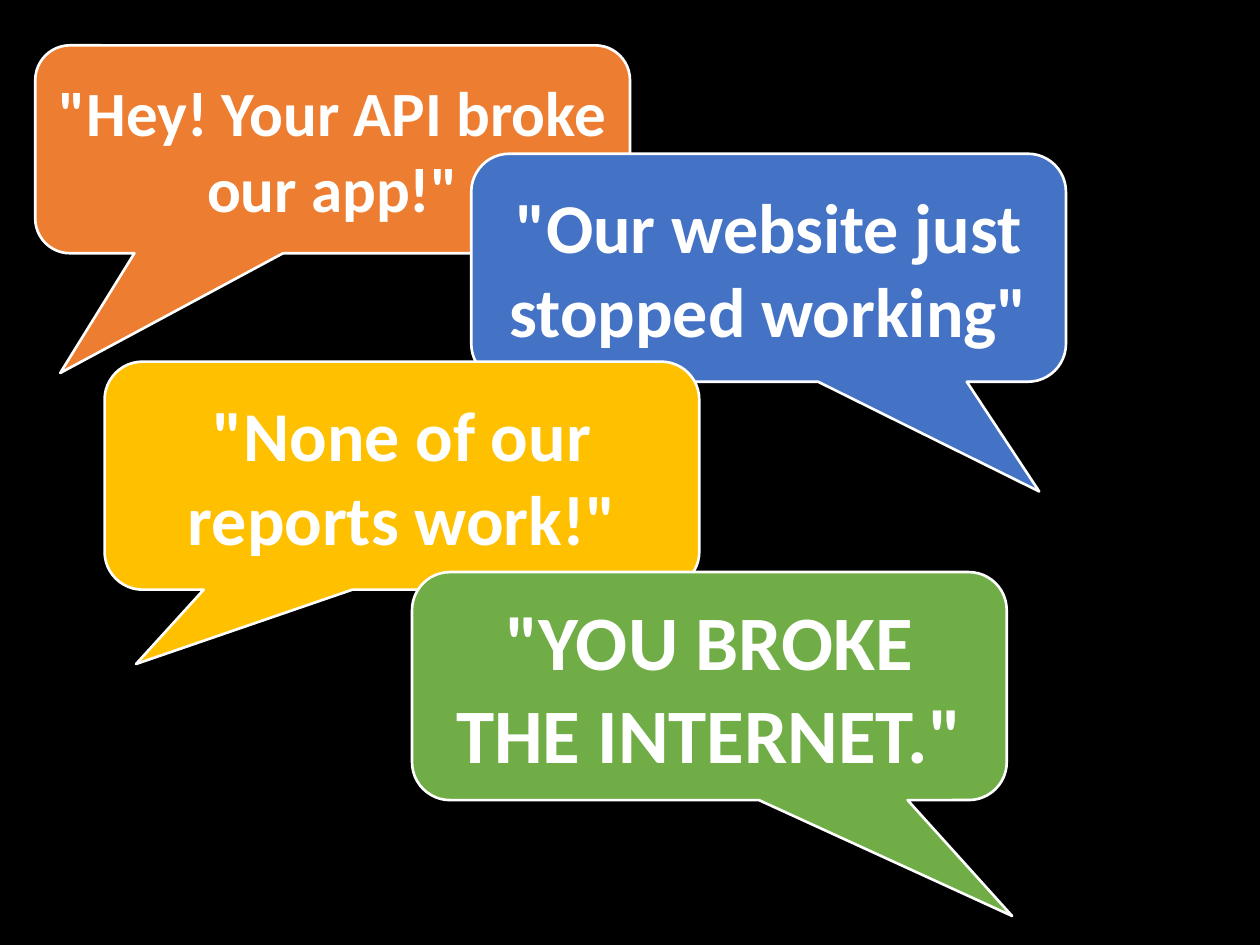
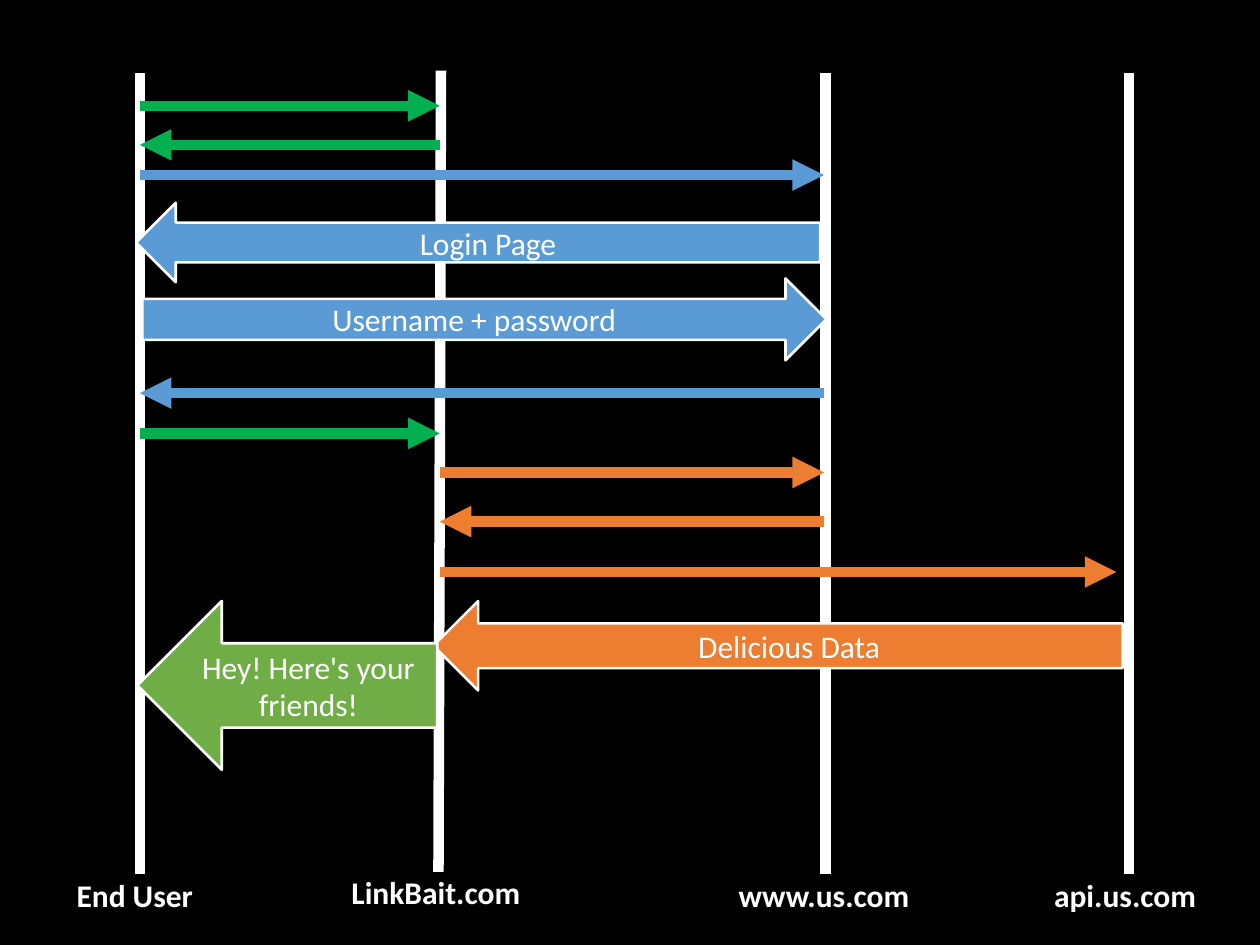
from lxml.etree import SubElement
from pptx import Presentation
from pptx.dml.color import RGBColor
from pptx.enum.shapes import MSO_CONNECTOR, MSO_SHAPE
from pptx.enum.text import MSO_ANCHOR, PP_ALIGN
from pptx.oxml.ns import qn
from pptx.util import Inches, Pt

# Shared look
BLACK, WHITE = "000000", "FFFFFF"
ORANGE, BLUE, GOLD, GREEN = "ED7D31", "4472C4", "FFC000", "70AD47"
SKY, EMERALD = "5B9BD5", "00B050"
FONT = "Calibri"
OUTLINE, STROKE = 1.5, 6

# Complaints: text, colour, size, left, top, height, tail point (share of the bubble)
BUBBLE_WIDTH = 4.72
COMPLAINTS = [
    ('"Hey! Your API broke our app!"', ORANGE, 36, 0.28, 0.36, 1.65, (-0.458, 1.076)),
    ('"Our website just stopped working"', BLUE, 40, 3.74, 1.22, 1.81, (0.455, 0.981)),
    ('"None of our reports work!"', GOLD, 40, 0.83, 2.87, 1.81, (-0.447, 0.826)),
    ('"YOU BROKE THE INTERNET."', GREEN, 44, 3.27, 4.54, 1.81, (0.509, 1.008)),
]

# Participants: name, lifeline top x, lifeline bottom x, lifeline top y, label centre
USER, APP, SITE, API = range(4)
PARTICIPANTS = [
    ("End User", 1.11, 1.11, 0.58, 1.07),
    ("LinkBait.com", 3.5, 3.48, 0.56, 3.46),
    ("www.us.com", 6.55, 6.55, 0.58, 6.54),
    ("api.us.com", 8.96, 8.96, 0.58, 8.93),
]
LIFELINE_LENGTH = 6.36
LABEL_WIDTH, LABEL_HEIGHT = 1.57, 0.4
LANES = [1.11, 3.49, 6.54, 8.96]

# Thin messages: sender, receiver, y, colour, gap before the receiver
SIGNALS = [
    (USER, APP, 0.84, EMERALD, 0),
    (APP, USER, 1.15, EMERALD, 0),
    (USER, SITE, 1.39, SKY, 0),
    (SITE, USER, 3.12, SKY, 0),
    (USER, APP, 3.44, EMERALD, 0),
    (APP, SITE, 3.75, ORANGE, 0),
    (SITE, APP, 4.14, ORANGE, 0),
    (APP, API, 4.54, ORANGE, 0.1),
]

# Wide messages: sender, receiver, text, colour, top, height, sideways shift
PAYLOADS = [
    (SITE, USER, "Login Page", SKY, 1.61, 0.63, -0.03),
    (USER, SITE, "Username + password", SKY, 2.21, 0.65, 0.02),
    (API, APP, "Delicious Data", ORANGE, 4.77, 0.71, -0.05),
    (APP, USER, "Hey! Here's your friends!", GREEN, 4.77, 1.34, -0.02),
]


def color(hex_code):
    return RGBColor.from_string(hex_code)


def add_slide(deck):
    slide = deck.slides.add_slide(deck.slide_layouts[6])
    slide.background.fill.solid()
    slide.background.fill.fore_color.rgb = color(BLACK)
    return slide


def write(holder, text, size, bold=False, anchor=MSO_ANCHOR.MIDDLE):
    frame = holder.text_frame
    frame.text = text
    frame.word_wrap = True
    frame.vertical_anchor = anchor
    paragraph = frame.paragraphs[0]
    paragraph.alignment = PP_ALIGN.CENTER
    font = paragraph.runs[0].font
    font.name, font.size, font.bold = FONT, Pt(size), bold
    font.color.rgb = color(WHITE)


def add_block(slide, preset, box, fill, text, size, bold=False):
    block = slide.shapes.add_shape(preset, *map(Inches, box))
    block.shadow.inherit = False
    block.fill.solid()
    block.fill.fore_color.rgb = color(fill)
    block.line.color.rgb = color(WHITE)
    block.line.width = Pt(OUTLINE)
    write(block, text, size, bold)
    return block


def add_line(slide, start, end, stroke, arrow=False):
    connector = slide.shapes.add_connector(
        MSO_CONNECTOR.STRAIGHT, *map(Inches, (*start, *end)))
    connector.line.color.rgb = color(stroke)
    connector.line.width = Pt(STROKE)
    if arrow:
        SubElement(connector.line._get_or_add_ln(), qn("a:tailEnd"), type="triangle")
    SubElement(connector._element.spPr, qn("a:effectLst"))


def build_complaints(deck):
    slide = add_slide(deck)
    for text, fill, size, left, top, height, tail in COMPLAINTS:
        bubble = add_block(slide, MSO_SHAPE.ROUNDED_RECTANGULAR_CALLOUT,
                           (left, top, BUBBLE_WIDTH, height), fill, text, size, True)
        bubble.adjustments[0], bubble.adjustments[1] = tail


def build_sequence(deck):
    slide = add_slide(deck)

    # Lifelines with their names underneath
    for name, top_x, bottom_x, top, centre in PARTICIPANTS:
        bottom = top + LIFELINE_LENGTH
        add_line(slide, (top_x, top), (bottom_x, bottom), WHITE)
        label = slide.shapes.add_textbox(*map(Inches, (
            centre - LABEL_WIDTH / 2, bottom - 0.04, LABEL_WIDTH, LABEL_HEIGHT)))
        write(label, name, 18, True, MSO_ANCHOR.TOP)

    # Messages between lifelines
    for sender, receiver, y, stroke, gap in SIGNALS:
        add_line(slide, (LANES[sender], y), (LANES[receiver] - gap, y), stroke, True)
    for sender, receiver, text, fill, top, height, shift in PAYLOADS:
        left, right = sorted((LANES[sender], LANES[receiver]))
        preset = MSO_SHAPE.RIGHT_ARROW if receiver > sender else MSO_SHAPE.LEFT_ARROW
        add_block(slide, preset, (left + shift, top, right - left, height),
                  fill, text, 18)


def main():
    deck = Presentation()
    deck.slide_width, deck.slide_height = Inches(10), Inches(7.5)
    build_complaints(deck)
    build_sequence(deck)
    deck.save("out.pptx")


if __name__ == "__main__":
    main()
